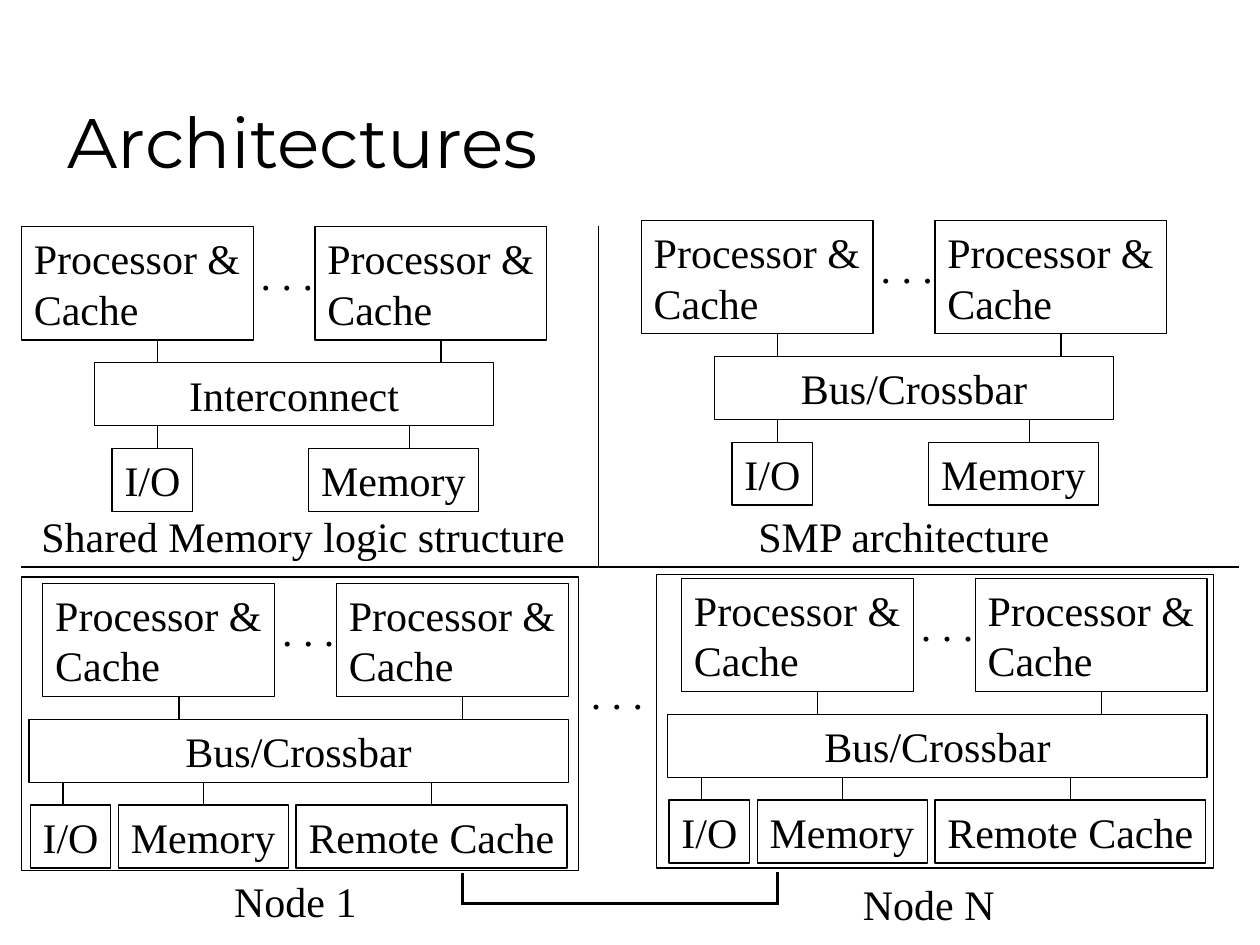
"""Build the slide that compares shared memory, SMP and multi-node architectures."""
from lxml import etree
from pptx import Presentation
from pptx import util as u
from pptx.dml.color import RGBColor
from pptx.enum import shapes, text
from pptx.oxml import ns

THEME = {
    "ink": RGBColor(0, 0, 0),
    "title": {"name": "Montserrat", "size": u.Pt(40)},
    "body": {"name": "Times New Roman", "size": u.Pt(24)},
    "thin": u.Pt(0.75),
    "thick": u.Pt(2),
}
FITTED = {"word_wrap": True, "vertical_anchor": text.MSO_ANCHOR.TOP,
          "auto_size": text.MSO_AUTO_SIZE.SHAPE_TO_FIT_TEXT}
SNUG = {**FITTED, "margin_right": 0}
COLUMNS, ROWS = 100, 75
WIDTH, HEIGHT = u.Inches(10), u.Inches(7.5)

TITLE = ("Architectures", 4.4, 2.5, 85, 12.5)
PROCESSOR = "Processor &\nCache"
DOTS = ". . ."
ROW_H, PROCESSOR_W, PROCESSOR_H = 5, 18.4, 9
PROCESSOR_STEP, BUS_TOP, DEVICE_TOP, STUB_H = 23.3, 10.8, 17.6, 1.75
PROCESSOR_STUBS = (10.8, 33.3)

SINGLE = {"bus": (5.8, 31.7),
          "devices": [("I/O", 7.2, 6.4, 10.8), ("Memory", 22.8, 13.5, 30.8)]}
NODE = {"bus": (-1.1, 42.8),
        "devices": [("I/O", -1, 6.4, 1.6), ("Memory", 6, 13.5, None),
                    ("Remote Cache", 20.1, 21.5, None)]}
SYSTEMS = [("Interconnect", SINGLE, 1.7, 18), ("Bus/Crossbar", SINGLE, 50.9, 17.5),
           ("Bus/Crossbar", NODE, 3.4, 46.3), ("Bus/Crossbar", NODE, 54.1, 45.9)]
CAPTIONS = [("Shared Memory logic structure", 2.3, 40, 43.5),
            ("SMP architecture", 59.2, 40, 25.2), (DOTS, 45.9, 52.5, 6.1),
            ("Node 1", 17.6, 69, 11.7), ("Node N", 67.5, 69.2, 12.4)]
NODE_FRAMES = [(1.7, 45.8, 44.2, 23.3), (52.1, 45.6, 44.2, 23.3)]
DIVIDERS = [(47.5, 17.9, 47.5, 45), (1.7, 45, 98.3, 45)]
NODE_LINK = [(36.7, 71.7, 61.7, 71.7), (36.7, 71.8, 36.7, 69.3), (61.7, 71.8, 61.7, 69.2)]


def across(columns):
    return round(WIDTH * columns / COLUMNS)


def down(rows):
    return round(HEIGHT * rows / ROWS)


def place(left, top, width, height):
    return across(left), down(top), across(width), down(height)


def assign(target, values):
    for key, value in values.items():
        setattr(target, key, value)


def write(part, wording, font, frame_format, align=text.PP_ALIGN.LEFT):
    frame = part.text_frame
    frame.text = wording
    assign(frame, frame_format)
    for paragraph in frame.paragraphs:
        paragraph.alignment = align
        assign(paragraph.font, font)
        paragraph.font.color.rgb = THEME["ink"]


def outline(canvas, *area):
    frame = canvas.add_shape(shapes.MSO_SHAPE.RECTANGLE, *place(*area))
    frame.shadow.inherit = False
    frame.fill.background()
    frame.line.width = THEME["thin"]
    frame.line.color.rgb = THEME["ink"]
    return frame


def box(canvas, wording, *area, frame_format=SNUG, align=text.PP_ALIGN.LEFT):
    unit = outline(canvas, *area)
    write(unit, wording, THEME["body"], frame_format, align)
    return unit


def label(canvas, wording, left, top, width):
    caption = canvas.add_textbox(*place(left, top, width, ROW_H))
    write(caption, wording, THEME["body"], SNUG)


def line(canvas, x1, y1, x2, y2, weight="thin"):
    wire = canvas.add_connector(shapes.MSO_CONNECTOR.STRAIGHT,
                                across(x1), down(y1), across(x2), down(y2))
    wire.line.width = THEME[weight]
    wire.line.color.rgb = THEME["ink"]
    etree.SubElement(wire._element.spPr, ns.qn("a:effectLst"))
    return wire


def system(canvas, bus_name, layout, left, top):
    bus_top, device_top = top + BUS_TOP, top + DEVICE_TOP
    for index, stub in enumerate(PROCESSOR_STUBS):
        box(canvas, PROCESSOR, left + index * PROCESSOR_STEP, top, PROCESSOR_W, PROCESSOR_H)
        line(canvas, left + stub, bus_top - STUB_H, left + stub, bus_top)
    label(canvas, DOTS, left + 18, top + 1.2, 6.1)
    bus_left, bus_width = layout["bus"]
    box(canvas, bus_name, left + bus_left, bus_top, bus_width, ROW_H,
        frame_format=FITTED, align=text.PP_ALIGN.CENTER)
    for name, offset, width, stub in layout["devices"]:
        device = box(canvas, name, left + offset, device_top, width, ROW_H)
        x = left + (offset + width / 2 if stub is None else stub)
        wire = line(canvas, x, device_top - STUB_H, x, device_top)
        if stub is None:
            wire.end_connect(device, 0)


def main():
    deck = Presentation()
    assign(deck, {"slide_width": WIDTH, "slide_height": HEIGHT})
    canvas = deck.slides.add_slide(deck.slide_layouts[6]).shapes
    heading, *area = TITLE
    write(canvas.add_textbox(*place(*area)), heading, THEME["title"],
          {"word_wrap": True, "vertical_anchor": text.MSO_ANCHOR.BOTTOM})
    for entry in SYSTEMS:
        system(canvas.add_group_shape().shapes, *entry)
    for caption in CAPTIONS:
        label(canvas, *caption)
    for divider in DIVIDERS:
        line(canvas, *divider)
    for frame in NODE_FRAMES:
        outline(canvas, *frame)
    for segment in NODE_LINK:
        line(canvas, *segment, weight="thick")
    deck.save("out.pptx")


if __name__ == "__main__":
    main()
